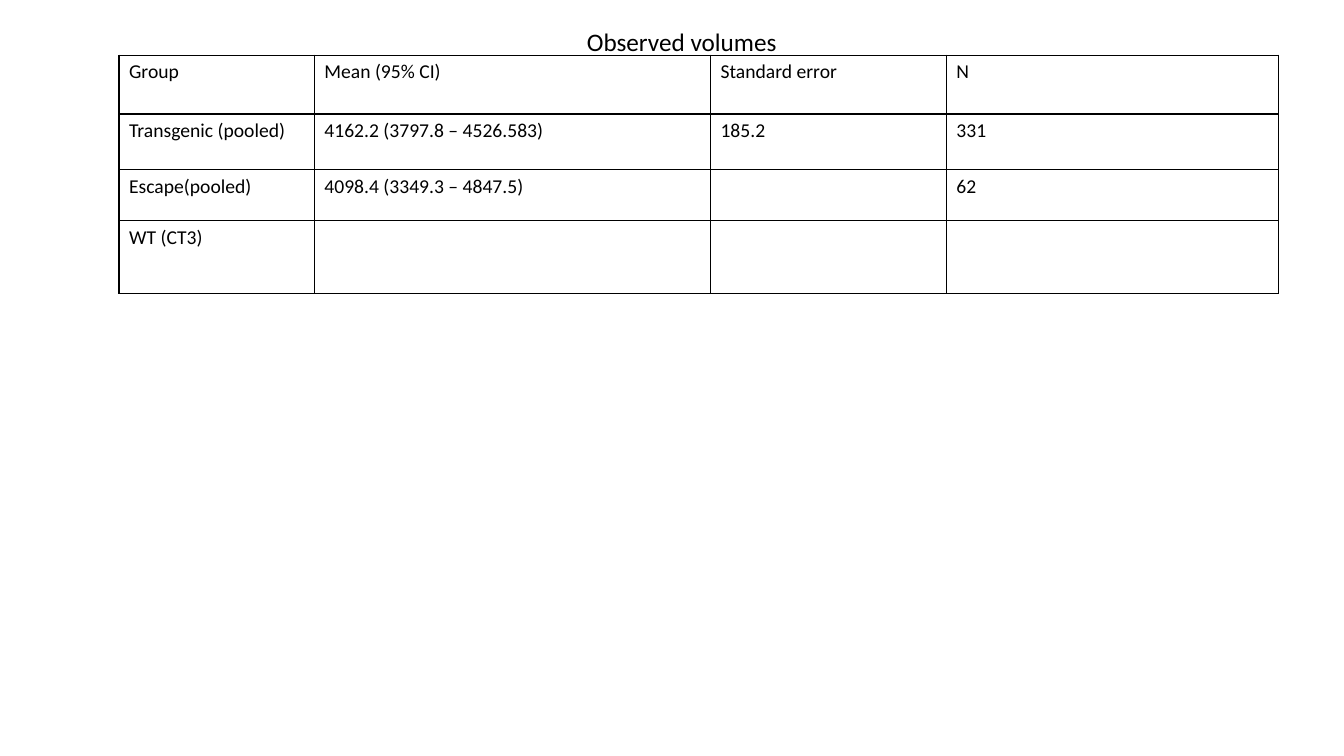
from lxml.etree import SubElement
from pptx import Presentation
from pptx.dml.color import RGBColor
from pptx.enum.text import MSO_ANCHOR, PP_ALIGN
from pptx.oxml.ns import qn
from pptx.util import Pt

TITLE = "Observed volumes"
ROWS = [
    ("Group", "Mean (95% CI)", "Standard error", "N"),
    ("Transgenic (pooled)", "4162.2 (3797.8 – 4526.583)", "185.2", "331"),
    ("Escape(pooled)", "4098.4 (3349.3 – 4847.5)", "", "62"),
    ("WT (CT3)", "", "", ""),
]
COLUMN_WIDTHS = [139.5, 283, 168.5, 237.5]
ROW_HEIGHTS = [42, 39.5, 36.5, 52]
TABLE_LEFT, TABLE_TOP = 85, 39.5
BLACK = "000000"


def color(value):
    return RGBColor.from_string(value)


def write(frame, text, size=14, font="Calibri", fill=BLACK):
    para = frame.paragraphs[0]
    para.alignment = PP_ALIGN.LEFT
    para.font.size = Pt(size)
    if text:
        span = para.add_run()
        span.text = text
        span.font.size = Pt(size)
        span.font.name = font
        span.font.bold = False
        span.font.color.rgb = color(fill)


def add_borders(cell, width=1, line_color=BLACK):
    properties = cell._tc.get_or_add_tcPr()
    for side in ("lnL", "lnR", "lnT", "lnB"):
        line = SubElement(properties, qn(f"a:{side}"), w=str(Pt(width)))
        fill = SubElement(line, qn("a:solidFill"))
        SubElement(fill, qn("a:srgbClr"), val=line_color)


def add_title(page):
    box = page.shapes.title
    box.left, box.top, box.width, box.height = Pt(412), Pt(15), Pt(152), Pt(29)
    box.text_frame.word_wrap = False
    box.text_frame.vertical_anchor = MSO_ANCHOR.TOP
    write(box.text_frame, TITLE, size=18)


def add_volume_table(page):
    table = page.shapes.add_table(
        len(ROWS), len(COLUMN_WIDTHS), Pt(TABLE_LEFT), Pt(TABLE_TOP),
        Pt(sum(COLUMN_WIDTHS)), Pt(sum(ROW_HEIGHTS))).table
    table.first_row = table.horz_banding = False
    for column, width in zip(table.columns, COLUMN_WIDTHS):
        column.width = Pt(width)
    for row, height, texts in zip(table.rows, ROW_HEIGHTS, ROWS):
        row.height = Pt(height)
        for cell, text in zip(row.cells, texts):
            add_borders(cell)
            cell.fill.background()
            write(cell.text_frame, text)


def main():
    deck = Presentation()
    deck.slide_width, deck.slide_height = Pt(960), Pt(540)
    page = deck.slides.add_slide(deck.slide_layouts.get_by_name("Title Only"))
    add_volume_table(page)
    add_title(page)
    deck.save("out.pptx")


if __name__ == "__main__":
    main()
